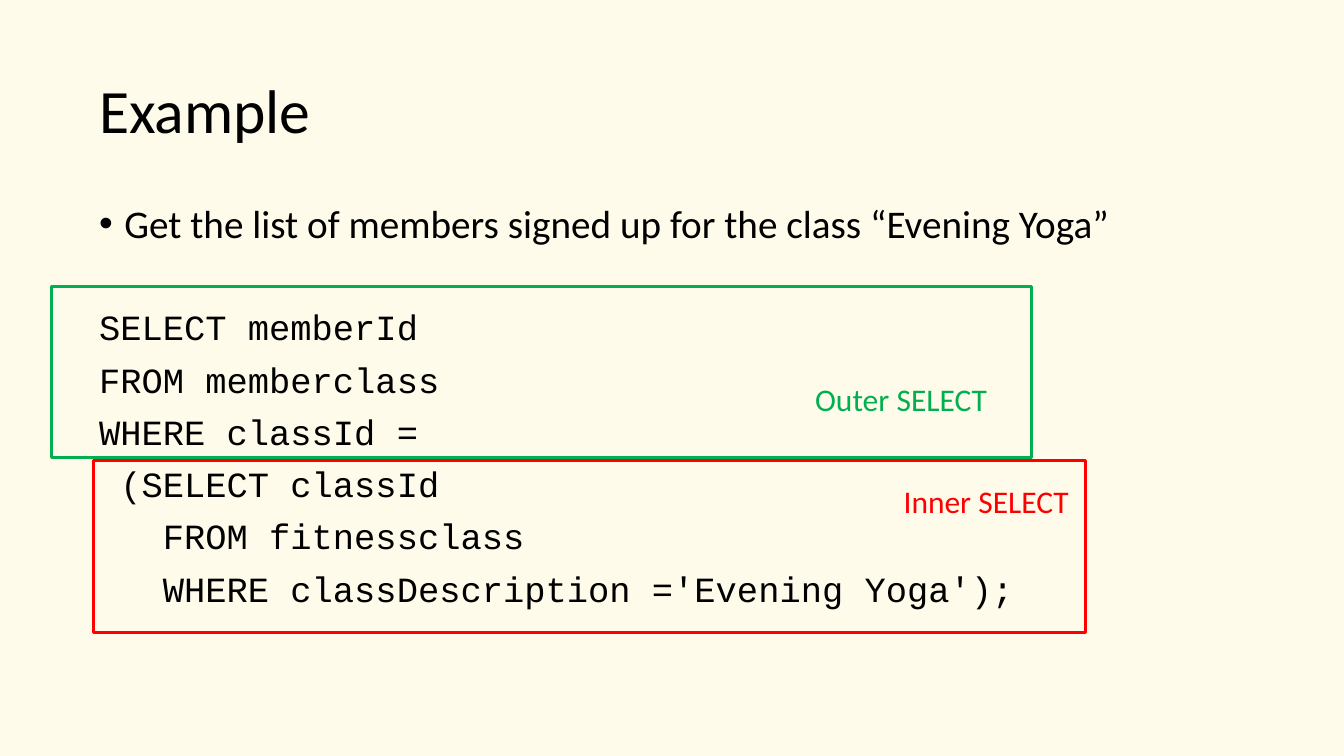
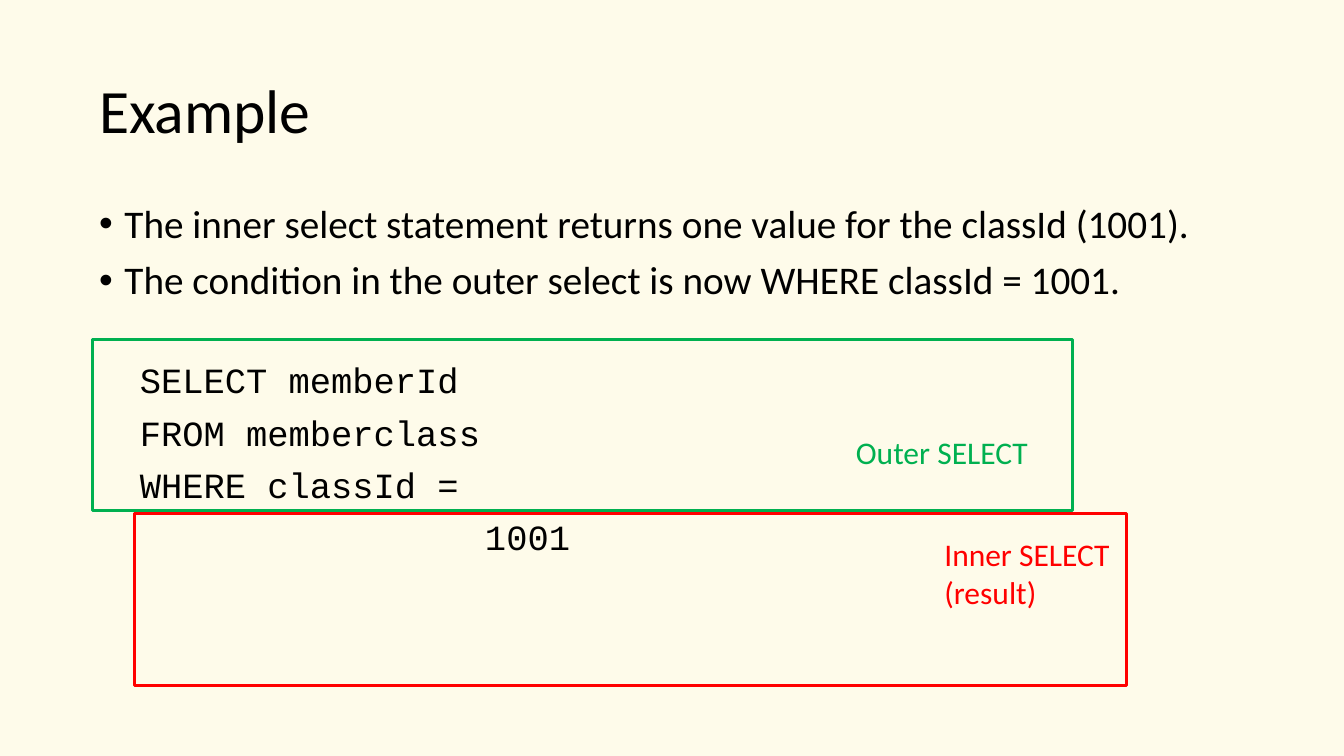
from dataclasses import dataclass

import lxml.etree
import pptx
import pptx.dml.color
import pptx.enum.shapes
import pptx.enum.text
import pptx.oxml.ns
import pptx.util

Cm = pptx.util.Cm
Pt = pptx.util.Pt
PAPER, BLACK, RED, GREEN = "FEFBEA", "000000", "FF0000", "00B050"
LEFT, WIDTH = 3.3, 41.55


@dataclass(frozen=True)
class Box:
    left: float
    top: float
    width: float
    height: float

    def shift(self, right: float, down: float) -> "Box":
        return Box(self.left + right, self.top + down, self.width, self.height)

    def place(self) -> tuple:
        return Cm(self.left), Cm(self.top), Cm(self.width), Cm(self.height)


@dataclass(frozen=True)
class Style:
    face: str
    size: float
    color: str = BLACK
    spacing: float | None = 0.9
    before: float = 0
    bullet: bool = False
    middle: bool = False


@dataclass(frozen=True)
class Line:
    text: str
    indent: float = 0


@dataclass(frozen=True)
class Query:
    color: str
    frame: Box
    label: Box


@dataclass(frozen=True)
class Page:
    points: list[Line]
    code: list[Line]
    labels: tuple[list[Line], list[Line]]
    right: float = 0
    down: float = 0


TITLE = Style("Calibri", 62.6, middle=True)
POINT = Style("Calibri", 39.8, before=14.2, bullet=True)
CODE = Style("Courier New", 36, before=14.2)

TITLE_BOX = Box(LEFT, 1.45, WIDTH, 5.23)
POINT_BOX = Box(LEFT, 7.21, WIDTH, 17.2)
CODE_BOX = Box(LEFT, 11, WIDTH, 12.5)
INNER = Query(RED, Box(3.35, 16.51, 35.56, 6.15), Box(32.13, 17.15, 9.32, 1.63))
OUTER = Query(GREEN, Box(1.85, 10.26, 35.13, 6.15), Box(28.96, 13.51, 9.32, 1.63))

OUTER_CODE = [Line("SELECT memberId"), Line("FROM memberclass"), Line("WHERE classId =")]
PAGES = [
    Page(
        [Line("Get the list of members signed up for the class “Evening Yoga”")],
        OUTER_CODE + [
            Line(" (SELECT classId"),
            Line("   FROM fitnessclass"),
            Line("   WHERE classDescription ='Evening Yoga');"),
        ],
        ([Line("Inner SELECT")], [Line("Outer SELECT")]),
    ),
    Page(
        [
            Line("The inner select statement returns one value for the classId (1001)."),
            Line("The condition in the outer select is now WHERE classId = 1001."),
        ],
        OUTER_CODE + [Line("1001", 12.37)],
        ([Line("Inner SELECT"), Line("(result)")], [Line("Outer SELECT")]),
        1.46,
        1.9,
    ),
]


def rgb(color: str) -> pptx.dml.color.RGBColor:
    return pptx.dml.color.RGBColor.from_string(color)


def indent(para, left: float, bullet: bool) -> None:
    props = para._p.get_or_add_pPr()
    props.set("marL", str(Cm(left)))
    props.set("indent", str(Cm(-left if bullet else 0)))
    if bullet:
        font = lxml.etree.SubElement(props, pptx.oxml.ns.qn("a:buFont"))
        font.set("typeface", "Arial")
        mark = lxml.etree.SubElement(props, pptx.oxml.ns.qn("a:buChar"))
        mark.set("char", "•")


def write(slide, box: Box, lines: list[Line], style: Style) -> None:
    frame = slide.shapes.add_textbox(*box.place()).text_frame
    frame.word_wrap = True
    if style.middle:
        frame.vertical_anchor = pptx.enum.text.MSO_ANCHOR.MIDDLE
    for place, line in enumerate(lines):
        para = frame.add_paragraph() if place else frame.paragraphs[0]
        para.text = line.text
        if style.bullet or line.indent:
            indent(para, 0.91 if style.bullet else line.indent, style.bullet)
        if style.spacing:
            para.line_spacing = style.spacing
        if place:
            para.space_before = Pt(style.before)
        para.font.name = style.face
        para.font.size = Pt(style.size)
        para.font.color.rgb = rgb(style.color)


def outline(slide, box: Box, color: str) -> None:
    kind = pptx.enum.shapes.MSO_SHAPE.RECTANGLE
    shape = slide.shapes.add_shape(kind, *box.place())
    shape.shadow.inherit = False
    shape.fill.background()
    shape.line.color.rgb = rgb(color)
    shape.line.width = Pt(3)


def draw(deck, page: Page) -> None:
    slide = deck.slides.add_slide(deck.slide_layouts[6])
    move = page.right, page.down
    write(slide, TITLE_BOX, [Line("Example")], TITLE)
    write(slide, POINT_BOX, page.points, POINT)
    write(slide, CODE_BOX.shift(*move), page.code, CODE)
    for query, label in zip((INNER, OUTER), page.labels):
        outline(slide, query.frame.shift(*move), query.color)
        style = Style("Calibri", 32, query.color, None)
        write(slide, query.label.shift(*move), label, style)


def main() -> None:
    deck = pptx.Presentation()
    deck.slide_width, deck.slide_height = Cm(48.16), Cm(27.1)
    fill = deck.slide_master.background.fill
    fill.solid()
    fill.fore_color.rgb = rgb(PAPER)
    for page in PAGES:
        draw(deck, page)
    deck.save("out.pptx")


if __name__ == "__main__":
    main()
